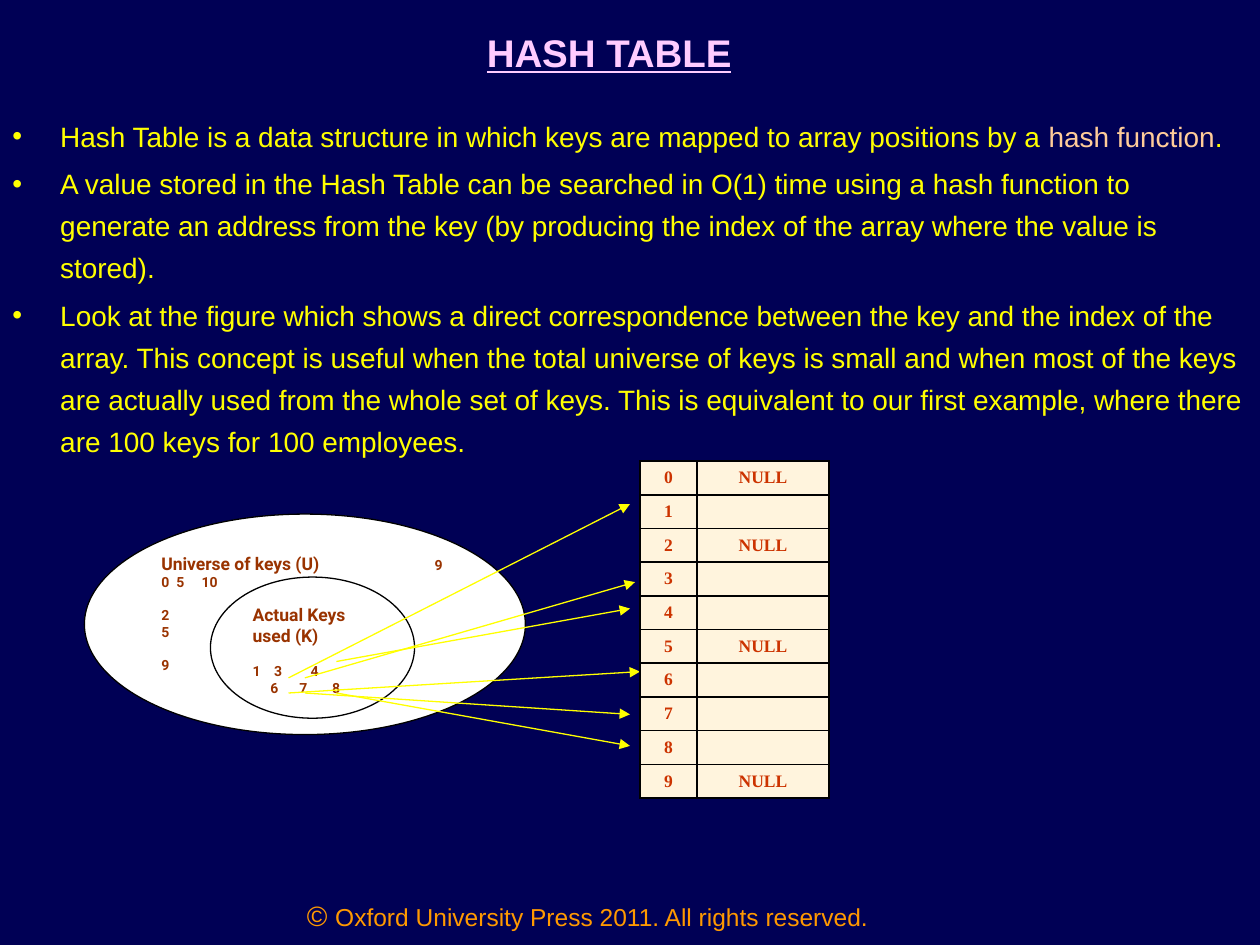
from lxml import etree
from pptx import Presentation
from pptx.dml.color import RGBColor
from pptx.enum import shapes, text
from pptx.oxml import ns
from pptx.util import Inches, Pt

# Content: runs are (text, size, colour)
YELLOW, PINK, BROWN, BLACK = "FFFF00", "FFCCFF", "993300", "000000"
BULLETS = [
    [("Hash Table is a data structure in which keys are mapped to array positions by a ", 16, YELLOW),
     ("hash function", 16, "FFCC99"), (".", 16, YELLOW)],
    [("A value stored in the Hash Table can be searched in O(1) time using a hash function to "
      "generate an address from the key (by producing the index of the array where the value is "
      "stored).", 16, YELLOW)],
    [("Look at the figure which shows a direct correspondence between the key and the index of the "
      "array. This concept is useful when the total universe of keys is small and when most of the "
      "keys are actually used from the whole set of keys. This is equivalent to our first example, "
      "where there are 100 keys for 100 employees.", 16, YELLOW)],
]
COPYRIGHT = [("© ", 16, "FF9900"), ("Oxford University Press 2011. All rights reserved.", 14, "FF9900")]

# Key sets: box, then lines of (runs, tab stops in inches, space before in points)
KEY_SETS = [
    ((0.67, 4.08, 3.5, 1.75), [
        ([("Universe of keys (U)", 10, BROWN), ("\t9", 8, BROWN)], [2.17], 0),
        ([("0\t5\t10", 8, BROWN)], [0.12, 0.32], 0),
        ([("2", 8, BROWN)], [], 9.4),
        ([("5", 8, BROWN)], [], 0),
        ([("9", 8, BROWN)], [], 9.4),
    ]),
    ((1.67, 4.58, 1.62, 1.12), [
        ([("Actual Keys used (K)", 10, BROWN)], [], 0),
        ([("1\t3\t4", 8, BROWN)], [0.17, 0.46], 9.4),
        ([("\t6\t7\t8", 8, BROWN)], [0.14, 0.37, 0.63], 0),
    ]),
]
# Arrows from a key to its slot: x1, y1, x2, y2
ARROWS = [
    (2.29, 5.38, 5, 4), (2.42, 5.38, 5.04, 4.62), (2.67, 5.25, 5, 4.83),
    (2.29, 5.5, 5.08, 5.33), (2.42, 5.5, 5, 5.67), (2.67, 5.5, 5, 5.92),
]
SLOTS, UNUSED = 10, {0, 2, 5, 9}
TABLE_BOX, COLUMN_WIDTHS = (5.08, 3.66, 1.5, 2.67), (0.45, 1.05)


def rgb(hex_colour):
    return RGBColor.from_string(hex_colour)


def box(values):
    return [Inches(v) for v in values]


def sub(parent, tag, **attrs):
    return etree.SubElement(parent, ns.qn(tag), {k: str(v) for k, v in attrs.items()})


def add_runs(p, runs, font="Arial", bold=False):
    for words, size, colour in runs:
        r = p.add_run()
        r.text = words
        r.font.name, r.font.size, r.font.bold = font, Pt(size), bold
        r.font.color.rgb = rgb(colour)


def next_paragraph(tf, index):
    return tf.add_paragraph() if index else tf.paragraphs[0]


def add_text_box(s, place):
    tf = s.shapes.add_textbox(*box(place)).text_frame
    tf.word_wrap = True
    return tf


def add_key_set(s, place, lines):
    sp = s.shapes.add_shape(shapes.MSO_SHAPE.OVAL, *box(place))
    sp.shadow.inherit = False
    sp.fill.solid()
    sp.fill.fore_color.rgb = rgb("FFFFFF")
    sp.line.color.rgb = rgb(BLACK)
    sp.line.width = Pt(0.75)
    tf = sp.text_frame
    tf.vertical_anchor = text.MSO_ANCHOR.TOP
    for i, (runs, stops, before) in enumerate(lines):
        p = next_paragraph(tf, i)
        p.alignment = text.PP_ALIGN.LEFT
        if before:
            p.space_before = Pt(before)
        if stops:
            tabs = sub(p._p.get_or_add_pPr(), "a:tabLst")
            for stop in stops:
                sub(tabs, "a:tab", pos=Inches(stop), algn="l")
        add_runs(p, runs, "Roboto", True)


def add_arrow(s, ends):
    line = s.shapes.add_connector(shapes.MSO_CONNECTOR.STRAIGHT, *box(ends))
    line.line.color.rgb = rgb(YELLOW)
    line.line.width = Pt(0.75)
    sub(line.line._get_or_add_ln(), "a:tailEnd", type="triangle")
    sub(line._element.spPr, "a:effectLst")


def format_cell(cell, words):
    cell.vertical_anchor = text.MSO_ANCHOR.MIDDLE
    p = cell.text_frame.paragraphs[0]
    p.alignment = text.PP_ALIGN.CENTER
    if words:
        add_runs(p, [(words, 10, "CC3300")], "Times New Roman", True)
    else:
        sub(p._p, "a:endParaRPr", sz=1000)  # keeps empty rows low
    tc_pr = cell._tc.get_or_add_tcPr()
    for side in ("a:lnL", "a:lnR", "a:lnT", "a:lnB"):
        fill = sub(sub(tc_pr, side, w=Pt(1)), "a:solidFill")
        sub(fill, "a:srgbClr", val=BLACK)
    cell.fill.solid()
    cell.fill.fore_color.rgb = rgb("FFF4DD")


def main():
    prs = Presentation()
    prs.slide_width, prs.slide_height = Inches(10), Inches(7.5)
    s = prs.slides.add_slide(prs.slide_layouts[5])
    s.background.fill.solid()
    s.background.fill.fore_color.rgb = rgb("000055")

    # Title
    title = s.shapes.title
    title.left, title.top, title.width, title.height = box((0.42, -0.33, 9, 1.25))
    title.text_frame.vertical_anchor = text.MSO_ANCHOR.MIDDLE
    p = title.text_frame.paragraphs[0]
    p.alignment = text.PP_ALIGN.CENTER
    add_runs(p, [("HASH TABLE", 22, PINK)], bold=True)
    p.runs[0].font.underline = True
    add_runs(p, [(" ", 44, BLACK)])

    # Bullets
    tf = add_text_box(s, (0, 0.83, 10, 5.37))
    for i, runs in enumerate(BULLETS):
        p = next_paragraph(tf, i)
        p.line_spacing = 1.25
        if i:
            p.space_before = Pt(3.2)
        p_pr = p._p.get_or_add_pPr()
        p_pr.set("marL", str(Inches(0.38)))
        p_pr.set("indent", str(Inches(-0.38)))
        sub(p_pr, "a:buFont", typeface="Arial")
        sub(p_pr, "a:buChar", char="•")
        add_runs(p, runs)

    # Key sets and arrows
    for place, lines in KEY_SETS:
        add_key_set(s, place, lines)
    for ends in ARROWS:
        add_arrow(s, ends)

    # Array of slots
    table = s.shapes.add_table(SLOTS, 2, *box(TABLE_BOX)).table
    table.first_row = table.horz_banding = False
    for column, width in zip(table.columns, COLUMN_WIDTHS):
        column.width = Inches(width)
    for slot in range(SLOTS):
        format_cell(table.cell(slot, 0), str(slot))
        format_cell(table.cell(slot, 1), "NULL" if slot in UNUSED else "")

    # Copyright line
    p = add_text_box(s, (2, 7.08, 5.33, 0.42)).paragraphs[0]
    p.alignment = text.PP_ALIGN.CENTER
    add_runs(p, COPYRIGHT)

    prs.save("out.pptx")


if __name__ == "__main__":
    main()
